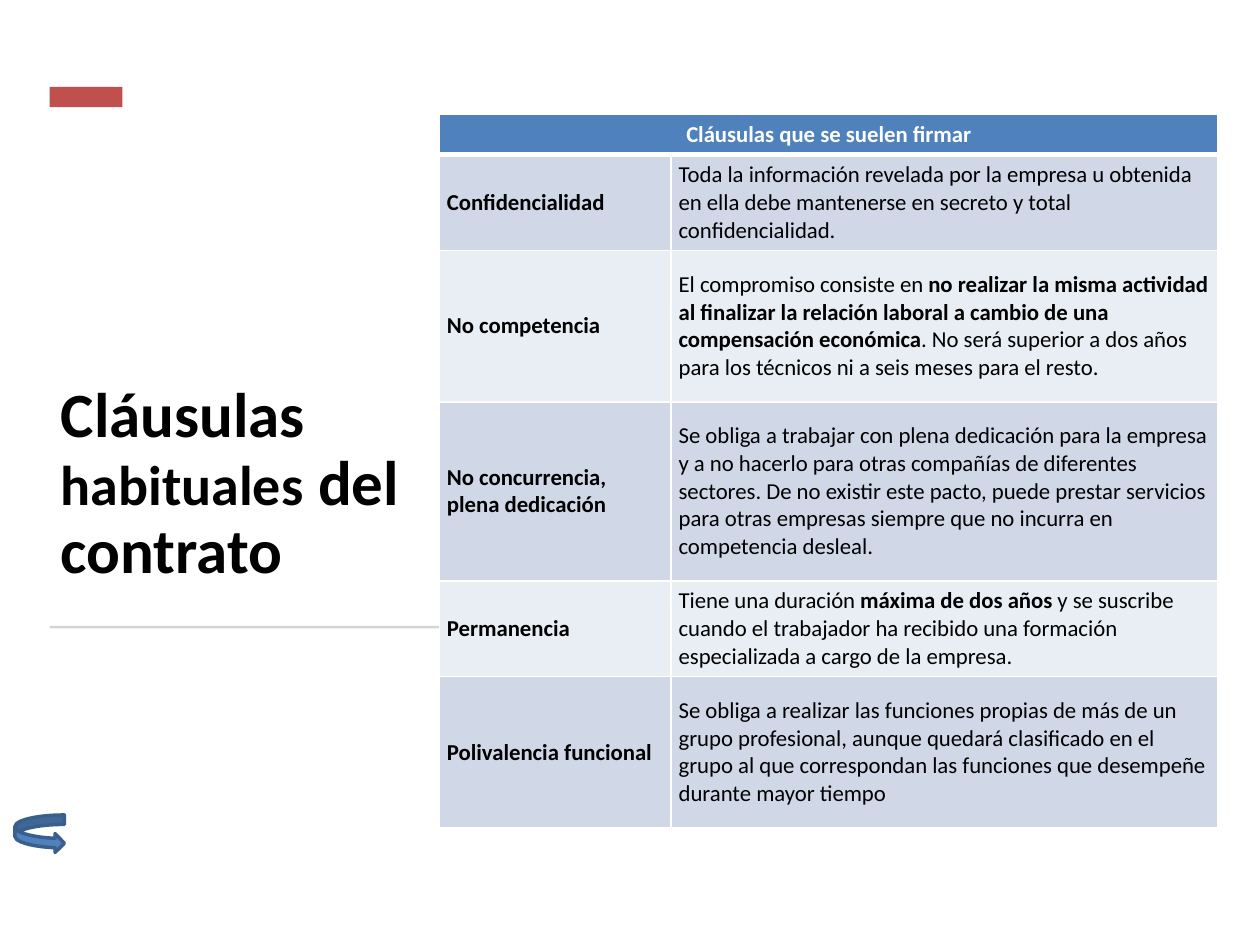
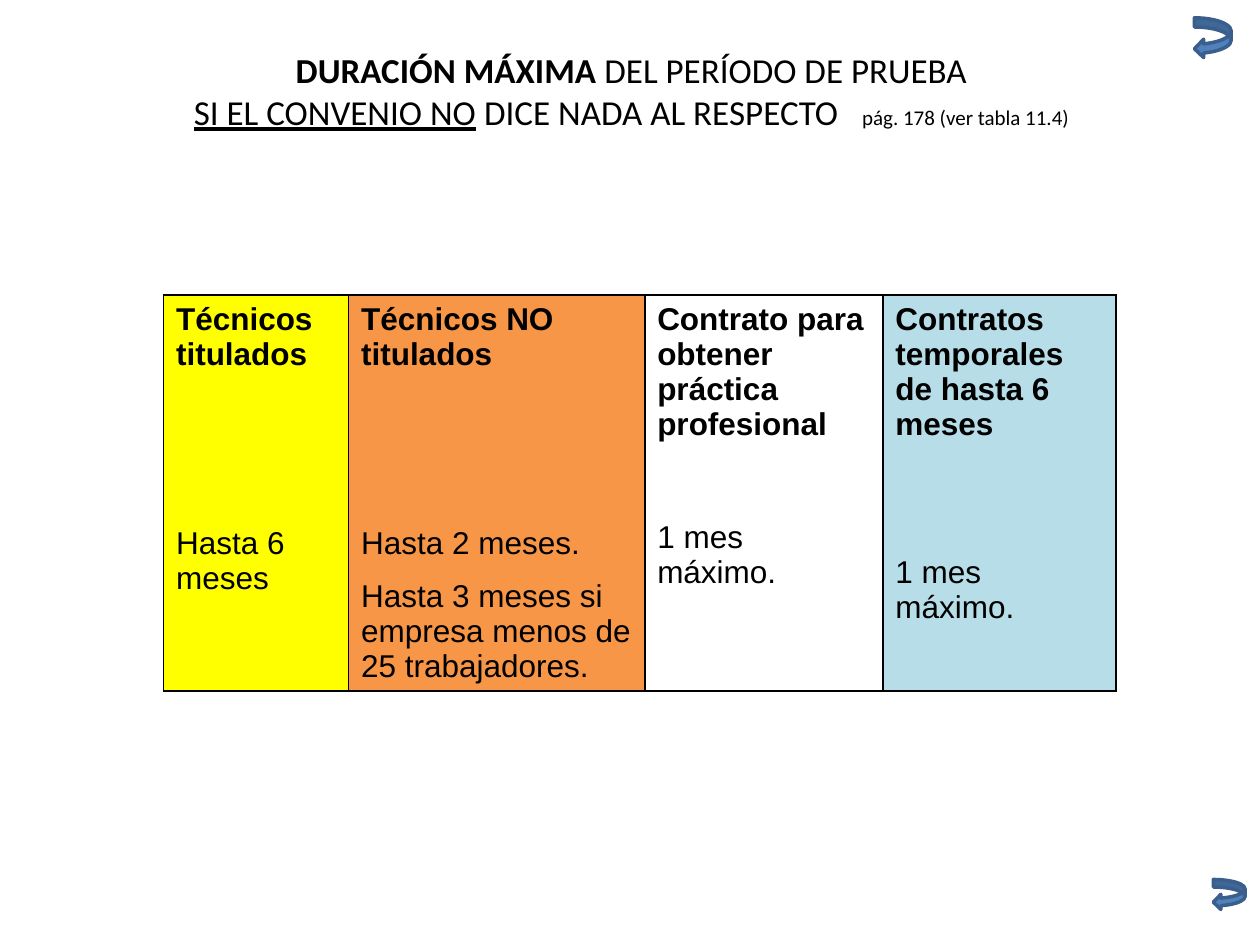
import lxml.etree
import pptx
import pptx.dml.color
import pptx.enum.shapes
import pptx.enum.text
import pptx.oxml.ns
import pptx.util

Cm, Pt = pptx.util.Cm, pptx.util.Pt
RGBColor = pptx.dml.color.RGBColor
MSO_SHAPE = pptx.enum.shapes.MSO_SHAPE
MSO_ANCHOR = pptx.enum.text.MSO_ANCHOR
PP_ALIGN = pptx.enum.text.PP_ALIGN

BLACK = RGBColor(0x00, 0x00, 0x00)
WHITE = RGBColor(0xFF, 0xFF, 0xFF)
RED = RGBColor(0xC0, 0x50, 0x4D)
GREY = RGBColor(0xD5, 0xD5, 0xD5)
BLUE = RGBColor(0x4F, 0x81, 0xBD)
DARK_BLUE = RGBColor(0x3A, 0x5F, 0x8C)
BAND_DARK = RGBColor(0xD0, 0xD8, 0xE8)
BAND_LIGHT = RGBColor(0xE9, 0xED, 0xF4)
YELLOW = RGBColor(0xFF, 0xFF, 0x00)
ORANGE = RGBColor(0xF7, 0x96, 0x46)
PALE_BLUE = RGBColor(0xB7, 0xDE, 0xE8)

TITLE_ONLY = 5
BOLD = {"bold": True}


def apply(target, values):
    for name, value in values.items():
        setattr(target, name, value)


class Deck:
    """Holds the presentation, the shared style and the current slide."""

    def __init__(self):
        self.presentation = pptx.Presentation()
        self.presentation.slide_width = Cm(25.4)
        self.presentation.slide_height = Cm(19.05)
        self.slide = None

    def new_slide(self):
        layout = self.presentation.slide_layouts[TITLE_ONLY]
        self.slide = self.presentation.slides.add_slide(layout)

    def fill_text(self, frame, paragraphs, font, layout):
        """Each paragraph is (runs, layout); each run is (text, font)."""
        for index, (runs, own_layout) in enumerate(paragraphs):
            paragraph = frame.paragraphs[0] if index == 0 else frame.add_paragraph()
            apply(paragraph, {**layout, **own_layout})
            for text, own_font in runs:
                run = paragraph.add_run()
                run.text = text
                values = {"name": "Calibri", "bold": False, "color": BLACK, **font, **own_font}
                run.font.color.rgb = values.pop("color")
                apply(run.font, values)

    def title(self, box, paragraphs, font, layout, anchor):
        title = self.slide.shapes.title
        apply(title, dict(zip(("left", "top", "width", "height"), map(Cm, box))))
        apply(title.text_frame, {
            "word_wrap": True,
            "auto_size": pptx.enum.text.MSO_AUTO_SIZE.NONE,
            "vertical_anchor": anchor,
        })
        self.fill_text(title.text_frame, paragraphs, font, {"space_before": Pt(0), **layout})

    def shape(self, kind, box, fill, line=None):
        shape = self.slide.shapes.add_shape(kind, *map(Cm, box))
        shape.shadow.inherit = False
        shape.fill.solid()
        shape.fill.fore_color.rgb = fill
        if line is None:
            shape.line.fill.background()
        else:
            shape.line.color.rgb = line
            shape.line.width = Pt(2)

    def return_arrow(self, kind, box):
        self.shape(kind, box, BLUE, DARK_BLUE)

    def table(self, left, top, columns, rows):
        frame = self.slide.shapes.add_table(
            len(rows), len(columns), Cm(left), Cm(top), Cm(sum(columns)), Cm(sum(rows)))
        table = frame.table
        table.first_row = table.horz_banding = False
        for column, width in zip(table.columns, columns):
            column.width = Cm(width)
        for row, height in zip(table.rows, rows):
            row.height = Cm(height)
        table.cell(0, 0).merge(table.cell(0, len(columns) - 1))
        return table

    def cell(self, cell, paragraphs, fill, font, margins, anchor, layout=None):
        side, edge = map(Cm, margins)
        apply(cell, {
            "margin_left": side, "margin_right": side,
            "margin_top": edge, "margin_bottom": edge,
            "vertical_anchor": anchor,
        })
        if fill is None:
            cell.fill.background()
        else:
            cell.fill.solid()
            cell.fill.fore_color.rgb = fill
        self.fill_text(cell.text_frame, paragraphs, font, layout or {})

    def borders(self, cell, color, **widths):
        """Draw the sides L, R, T, B with the given widths in points."""
        qn = pptx.oxml.ns.qn
        properties = cell._tc.get_or_add_tcPr()
        sides = [side for side in "LRTB" if side in widths]
        for index, side in enumerate(sides):
            line = lxml.etree.Element(qn(f"a:ln{side}"), w=str(Pt(widths[side])))
            fill = lxml.etree.SubElement(line, qn("a:solidFill"))
            lxml.etree.SubElement(fill, qn("a:srgbClr"), val=str(color))
            properties.insert(index, line)


def build_clauses(deck):
    deck.new_slide()
    deck.title(
        (0.97, 3.07, 7.72, 8.89),
        [([("Cláusulas ", {}), ("habituales", {"size": Pt(32)}), (" del contrato", {})], {})],
        {"size": Pt(36), "bold": True},
        {"alignment": PP_ALIGN.LEFT, "line_spacing": 0.9},
        MSO_ANCHOR.BOTTOM)

    # Accent, rule and return arrow
    deck.shape(MSO_SHAPE.RECTANGLE, (1, 1.75, 1.47, 0.41), RED)
    deck.shape(MSO_SHAPE.RECTANGLE, (1, 12.62, 8.38, 0.05), GREY)
    deck.return_arrow(MSO_SHAPE.CURVED_RIGHT_ARROW, (0.3, 16.43, 1, 0.76))

    # Table of clauses
    clauses = [
        ("Confidencialidad", [
            ("Toda la información revelada por la empresa u obtenida en ella debe "
             "mantenerse en secreto y total confidencialidad.", {})]),
        ("No competencia", [
            ("El compromiso consiste en ", {}),
            ("no realizar la misma actividad al finalizar la relación laboral a cambio "
             "de una compensación económica", BOLD),
            (". No será superior a dos años para los técnicos ni a seis meses para "
             "el resto.", {})]),
        ("No concurrencia, plena dedicación", [
            ("Se obliga a trabajar con plena dedicación para la empresa y a no hacerlo "
             "para otras compañías de diferentes sectores. De no existir este pacto, "
             "puede prestar servicios para otras empresas siempre que no incurra en "
             "competencia desleal.", {})]),
        ("Permanencia", [
            ("Tiene una duración ", {}),
            ("máxima de dos años ", BOLD),
            ("y se suscribe cuando el trabajador ha recibido una formación "
             "especializada a cargo de la empresa.", {})]),
        ("Polivalencia funcional", [
            ("Se obliga a realizar las funciones propias de más de un grupo profesional, "
             "aunque quedará clasificado en el grupo al que correspondan las funciones "
             "que desempeñe durante mayor tiempo", {})]),
    ]
    style = {"font": {"size": Pt(13)}, "margins": (0.15, 0.08), "anchor": MSO_ANCHOR.MIDDLE}
    table = deck.table(8.86, 2.31, (4.67, 11.02), (0.81, 1.93, 3.05, 3.61, 1.93, 3.05))
    heading = [([("Cláusulas que se suelen firmar", {"bold": True, "color": WHITE})], {})]
    deck.cell(table.cell(0, 0), heading, BLUE, layout={"alignment": PP_ALIGN.CENTER}, **style)
    for row, (name, description) in enumerate(clauses, start=1):
        fill = BAND_DARK if row % 2 else BAND_LIGHT
        for column, runs in enumerate(([(name, BOLD)], description)):
            deck.cell(table.cell(row, column), [(runs, {})], fill, **style)
    for row in range(len(table.rows)):
        for column in range(len(table.columns)):
            deck.borders(table.cell(row, column), WHITE, L=1, R=1,
                         T=3 if row == 1 else 1, B=3 if row == 0 else 1)


def build_trial_period(deck):
    deck.new_slide()
    deck.title(
        (1.3, 0.53, 22.86, 2.59),
        [
            ([("DURACIÓN MÁXIMA ", BOLD), ("DEL PERÍODO DE PRUEBA", {})], {}),
            ([("SI EL CONVENIO NO", {"underline": True}),
              (" DICE NADA AL RESPECTO", {}),
              (" ", {}),
              ("pág. 178 (ver tabla 11.4)", {"size": Pt(12)})], {}),
        ],
        {"size": Pt(20)},
        {"alignment": PP_ALIGN.CENTER},
        MSO_ANCHOR.MIDDLE)
    # Widen the gap before the page reference
    gap = deck.slide.shapes.title.text_frame.paragraphs[1].runs[2]
    gap.font._element.set("spc", "900")

    # Table of limits: heading, fill, (limit, points above it)
    limits = [
        ("Técnicos titulados", YELLOW, [("Hasta 6 meses", 88)]),
        ("Técnicos NO titulados", ORANGE, [
            ("Hasta 2 meses.", 88),
            ("Hasta 3 meses si empresa menos de 25 trabajadores.", 10)]),
        ("Contrato para obtener práctica profesional", None, [("1 mes máximo.", 44)]),
        ("Contratos temporales de hasta 6 meses", PALE_BLUE, [("1 mes máximo.", 64)]),
    ]
    table = deck.table(3.3, 3.94, (3.73, 5.97, 4.8, 4.7), (2.01, 7.95))
    for column, (heading, fill, terms) in enumerate(limits):
        paragraphs = [([(heading, BOLD)], {})]
        paragraphs += [([(term, {})], {"space_before": Pt(space)}) for term, space in terms]
        deck.cell(table.cell(1, column), paragraphs, fill,
                  {"name": "Arial", "size": Pt(18)}, (0.25, 0.13), MSO_ANCHOR.TOP)
        deck.borders(table.cell(1, column), BLACK, L=1, R=1, T=1, B=1)
        table.cell(0, column).fill.background()
        deck.borders(table.cell(0, column), BLACK, B=1)

    # Return arrows
    for box in ((24.08, 0.36, 0.74, 0.81), (24.46, 17.73, 0.64, 0.61)):
        deck.return_arrow(MSO_SHAPE.CURVED_LEFT_ARROW, box)


def main():
    deck = Deck()
    build_clauses(deck)
    build_trial_period(deck)
    deck.presentation.save("out.pptx")


if __name__ == "__main__":
    main()
